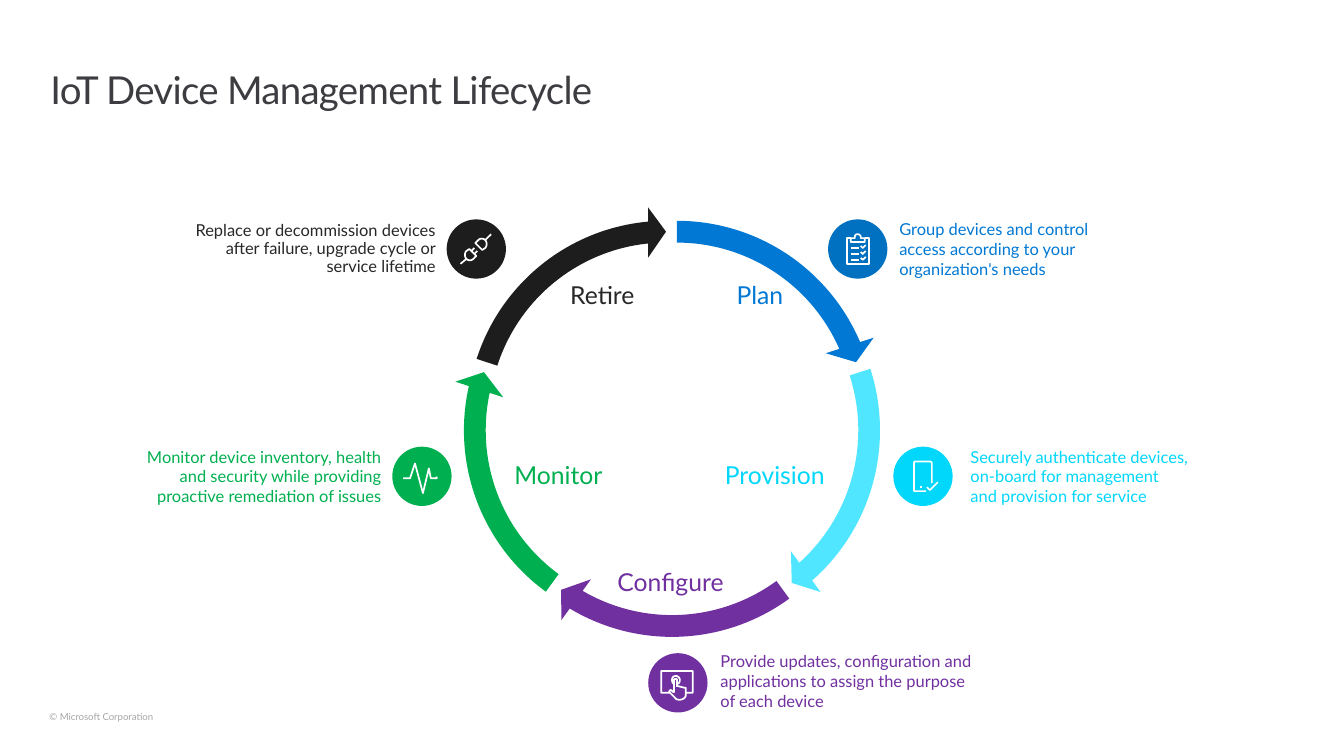
from dataclasses import dataclass
from typing import NamedTuple

from pptx import Presentation
from pptx.dml.color import RGBColor
from pptx.enum.shapes import MSO_SHAPE
from pptx.enum.text import MSO_ANCHOR, PP_ALIGN
from pptx.util import Inches, Pt

LEFT, CENTER, RIGHT = PP_ALIGN.LEFT, PP_ALIGN.CENTER, PP_ALIGN.RIGHT
TOP, MIDDLE = MSO_ANCHOR.TOP, MSO_ANCHOR.MIDDLE
ELLIPSE, CIRCULAR_ARROW = MSO_SHAPE.OVAL, MSO_SHAPE.CIRCULAR_ARROW


@dataclass(frozen=True)
class Theme:
    font: str = "Lato"
    title_size: float = 28
    label_size: float = 18
    note_size: float = 12
    footer_size: float = 7
    icon_line: float = 1.25
    title: str = "3C3C41"
    footer: str = "A6A6A6"
    white: str = "FFFFFF"
    blue: str = "0078D4"
    deep_blue: str = "0070C0"
    cyan: str = "00D7FB"
    light_cyan: str = "50E6FF"
    purple: str = "7030A0"
    green: str = "00B050"
    charcoal: str = "282828"
    black: str = "1D1D1D"


THEME = Theme()


class Stage(NamedTuple):
    name: str
    note: str
    text_color: str
    arrow_color: str
    badge_color: str
    label_box: tuple
    note_box: tuple
    note_align: PP_ALIGN
    note_spacing: float
    arrow_at: tuple
    badge_at: tuple
    icon_at: tuple
    icon: list


# Icon strokes are in hundredths of an inch. A pair is a corner; six numbers
# are a cubic curve: two control points, then the end point.
CLIPBOARD = [
    [(8, 3), (8, 1, 9, 0, 11, 0), (12, 0, 14, 1, 14, 3), (14, 4), (18, 4),
     (18, 8), (4, 8), (4, 4), (8, 4), (8, 3)],
    [(4, 4), (0, 4), (0, 30), (22, 30), (22, 4), (18, 4)],
    *([(4, y), (12, y)] for y in (14, 20, 26)),
    *([(14, y - 2), (16, y), (19, y - 3)] for y in (14, 20, 26)),
]
PHONE = [
    [(12, 30), (1, 30), (0, 30, 0, 30, 0, 29), (0, 2), (0, 1, 0, 0, 1, 0),
     (16, 0), (17, 0, 18, 1, 18, 2), (18, 22)],
    [(13, 26), (16, 29), (24, 21)],
    [(6, 26), (8, 26)],
]
TOUCH_SCREEN = [
    [(16, 9), (16, 8, 16, 8, 15, 8), (14, 8, 13, 8, 13, 9), (13, 21),
     (13, 21, 13, 22, 12, 21), (11, 20), (10, 19, 9, 19, 9, 20),
     (8, 20, 8, 21, 9, 22), (14, 27), (15, 29, 17, 29, 19, 29),
     (22, 29, 25, 27, 25, 24), (25, 18), (25, 17, 25, 17, 24, 17),
     (16, 15), (16, 9)],
    [(16, 15), (16, 16)],
    [(16, 13), (18, 13, 19, 11, 19, 9), (19, 7, 17, 5, 15, 5),
     (12, 5, 11, 7, 11, 9), (11, 11, 12, 13, 13, 13)],
    [(25, 22), (31, 22), (32, 22, 32, 22, 32, 21), (32, 1),
     (32, 0, 32, 0, 31, 0), (1, 0), (0, 0, 0, 0, 0, 1), (0, 21),
     (0, 22, 0, 22, 1, 22), (9, 22)],
]
PULSE = [
    [(0, 15), (7, 15), (12, 0), (20, 30), (26, 5), (28, 15), (33, 15)],
    [(33, 15), (34, 15), (34, 14), (33, 15)],
]
PLUG = [
    [(15, 9), (18, 6), (20, 4, 23, 4, 25, 6), (27, 8, 27, 12, 25, 14),
     (22, 16), (15, 9)],
    [(25, 6), (31, 0)],
    [(9, 15), (6, 17), (4, 19, 4, 23, 6, 25), (8, 27, 11, 27, 13, 25),
     (16, 22), (9, 15)],
    [(6, 25), (0, 30)],
    [(14, 14), (11, 17)],
    [(17, 17), (14, 20)],
]

STAGES = [
    Stage("Plan",
          "Group devices and control access according to your organization's needs",
          THEME.blue, THEME.blue, THEME.deep_blue,
          (7.4, 2.86, 0.58, 0.28), (9.1, 2.22, 2.41, 0.62), LEFT, 1.0,
          (4.69, 2.09), (8.38, 2.22), (8.57, 2.37), CLIPBOARD),
    Stage("Provision",
          "Securely authenticate devices, on-board for management and provision for service",
          THEME.cyan, THEME.light_cyan, THEME.cyan,
          (7.24, 4.68, 1.2, 0.28), (9.82, 4.52, 2.22, 0.61), LEFT, 1.0,
          (4.73, 2.19), (9.04, 4.52), (9.25, 4.67), PHONE),
    Stage("Configure",
          "Provide updates, configuration and applications to assign the purpose of each device",
          THEME.purple, THEME.purple, THEME.purple,
          (6.21, 5.76, 1.15, 0.28), (7.29, 6.59, 2.67, 0.62), LEFT, 1.0,
          (4.64, 2.26), (6.56, 6.61), (6.69, 6.79), TOUCH_SCREEN),
    Stage("Monitor",
          "Monitor device inventory, health and security while providing proactive "
          "remediation of issues",
          THEME.green, THEME.green, THEME.green,
          (5.18, 4.69, 0.94, 0.27), (1.21, 4.52, 2.65, 0.62), RIGHT, 1.0,
          (4.55, 2.19), (3.97, 4.52), (4.08, 4.69), PULSE),
    Stage("Retire",
          "Replace or decommission devices after failure, upgrade cycle or service lifetime",
          THEME.charcoal, THEME.black, THEME.black,
          (5.64, 2.87, 0.91, 0.27), (1.97, 2.25, 2.44, 0.56), RIGHT, 0.9,
          (4.58, 2.09), (4.52, 2.22), (4.66, 2.37), PLUG),
]


def flatten(stroke, steps=8):
    """Turn the corners and curves of a stroke into plain points."""
    points = [stroke[0]]
    for piece in stroke[1:]:
        if len(piece) == 2:
            points.append(piece)
            continue
        start = points[-1]
        for step in range(1, steps + 1):
            t = step / steps
            weights = ((1 - t) ** 3, 3 * t * (1 - t) ** 2, 3 * t * t * (1 - t), t ** 3)
            points.append(tuple(
                sum(w * v for w, v in zip(weights, (start[axis], *piece[axis::2])))
                for axis in (0, 1)))
    return points


class LifecyclePage:
    def __init__(self, deck, theme):
        self.theme = theme
        self.page = deck.slides.add_slide(deck.slide_layouts[6])

    def text(self, words, box, size, color, align=LEFT, anchor=TOP, spacing=1.0, tracking=0):
        """Add a text box; tracking is in hundredths of a point."""
        frame = self.page.shapes.add_textbox(*map(Inches, box)).text_frame
        frame.word_wrap = True
        frame.vertical_anchor = anchor
        frame.margin_left = frame.margin_right = frame.margin_top = frame.margin_bottom = 0
        para = frame.paragraphs[0]
        span = para.add_run()
        span.text = words
        para.alignment, para.line_spacing = align, spacing
        para.font.name, para.font.size = self.theme.font, Pt(size)
        para.font.color.rgb = RGBColor.from_string(color)
        if tracking:
            span.font._element.set("spc", str(tracking))

    def shape(self, kind, box, color):
        shape = self.page.shapes.add_shape(kind, *map(Inches, box))
        shape.shadow.inherit = False
        shape.fill.solid()
        shape.fill.fore_color.rgb = RGBColor.from_string(color)
        shape.line.fill.background()
        return shape

    def cycle_arrow(self, at, color, turn):
        """Add one arc of the ring, turned by fifths of a circle."""
        arrow = self.shape(CIRCULAR_ARROW, (*at, 4.32, 4.33), color)
        full_circle = 216
        shift = turn * full_circle / 5
        values = (0.051, 3.275, (201.92 + shift) % full_circle,
                  (162 + shift) % full_circle, 0.059)
        for index, value in enumerate(values):
            arrow.adjustments[index] = value

    def icon(self, at, strokes):
        left, top = at
        builder = None
        for stroke in strokes:
            points = [(Inches(left + x / 100), Inches(top + y / 100))
                      for x, y in flatten(stroke)]
            if builder is None:
                builder = self.page.shapes.build_freeform(*points[0])
            else:
                builder.move_to(*points[0])
            builder.add_line_segments(points[1:], close=False)
        shape = builder.convert_to_shape()
        shape.shadow.inherit = False
        shape.fill.background()
        shape.line.color.rgb = RGBColor.from_string(self.theme.white)
        shape.line.width = Pt(self.theme.icon_line)

    def stage(self, stage, turn):
        self.cycle_arrow(stage.arrow_at, stage.arrow_color, turn)
        self.text(stage.name, stage.label_box, self.theme.label_size, stage.text_color,
                  CENTER, MIDDLE, 0.9)
        self.text(stage.note, stage.note_box, self.theme.note_size, stage.text_color,
                  stage.note_align, spacing=stage.note_spacing)
        self.shape(ELLIPSE, (*stage.badge_at, 0.6, 0.6), stage.badge_color)
        self.icon(stage.icon_at, stage.icon)


def main():
    deck = Presentation()
    deck.slide_width, deck.slide_height = Inches(13.6), Inches(7.65)
    page = LifecyclePage(deck, THEME)
    page.text("IoT Device Management Lifecycle", (0.51, 0.69, 12.61, 0.45),
              THEME.title_size, THEME.title, spacing=Pt(32), tracking=-50)
    page.text("© Microsoft Corporation", (0.5, 7.19, 6, 0.13),
              THEME.footer_size, THEME.footer, anchor=MIDDLE)
    for turn, stage in enumerate(STAGES):
        page.stage(stage, turn)
    deck.save("out.pptx")


if __name__ == "__main__":
    main()
